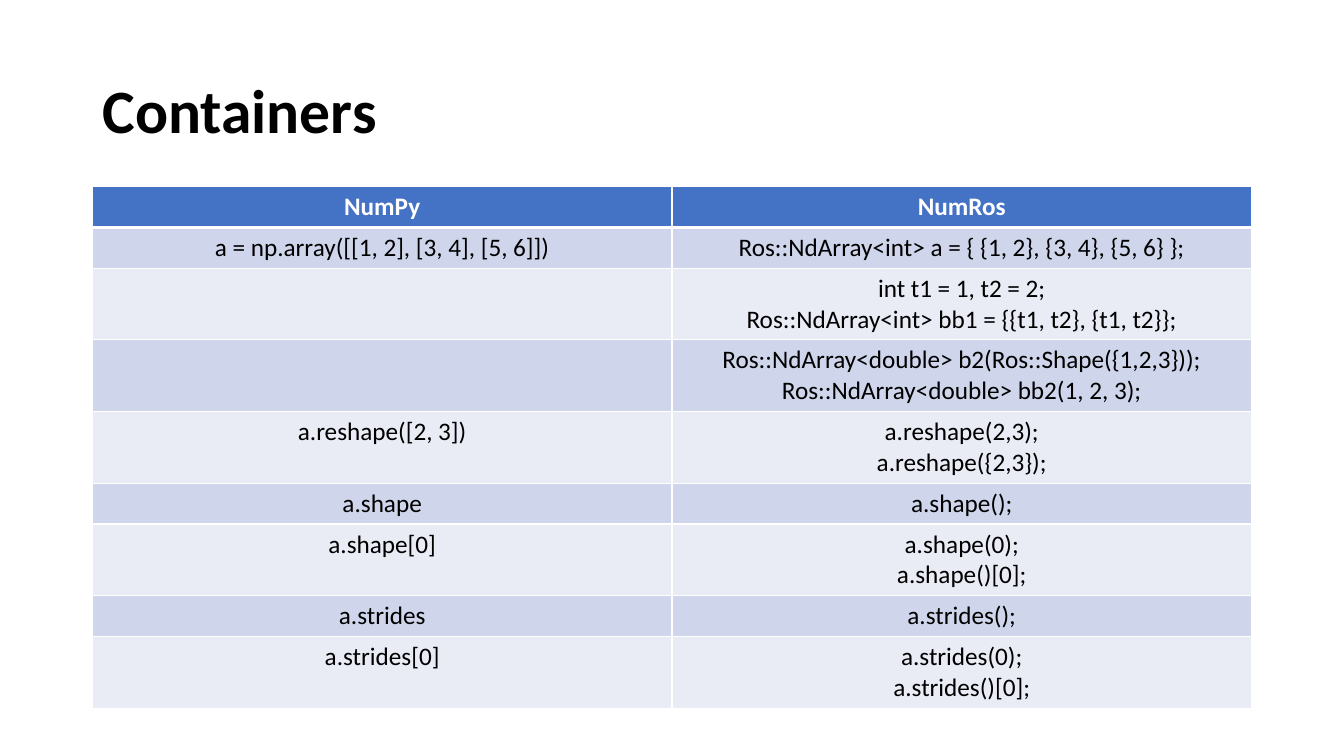
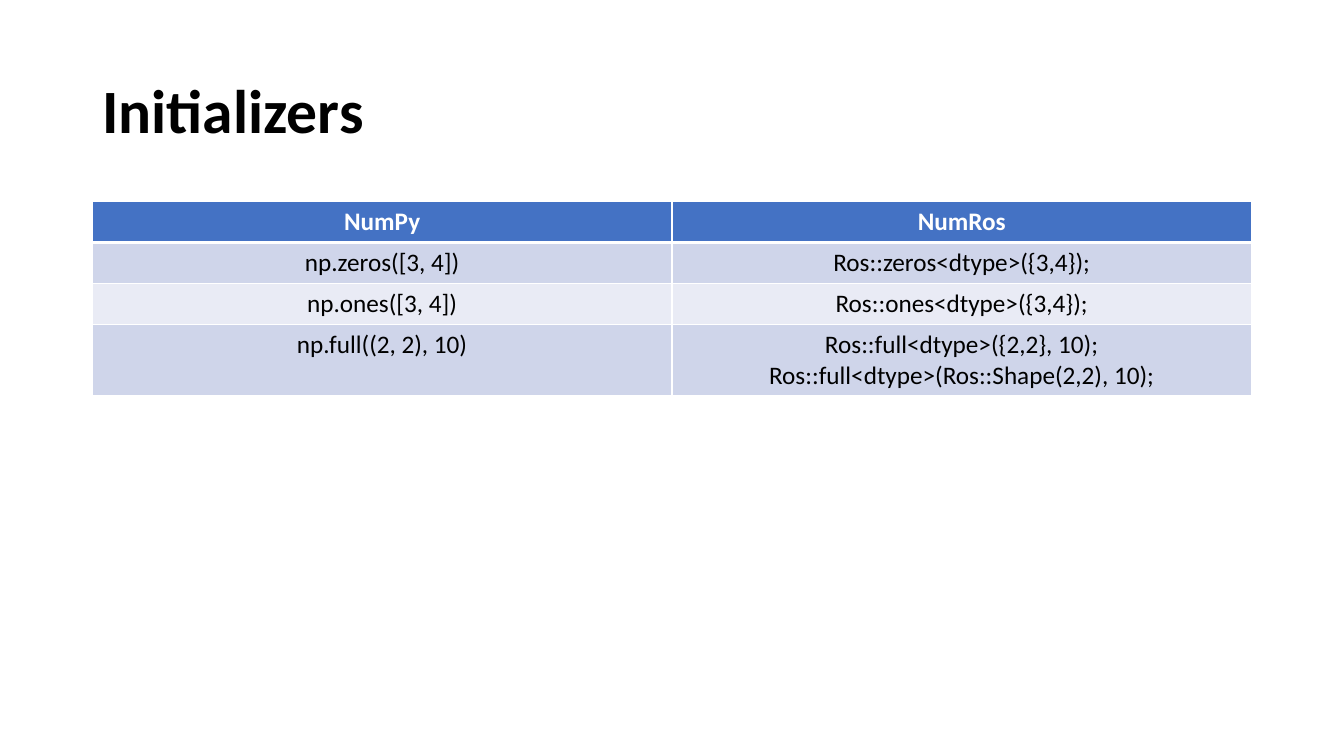
import pptx
import pptx.dml.color
import pptx.enum.text
import pptx.oxml
import pptx.oxml.ns
import pptx.util

FONT = "Calibri"
WHITE, BLACK, BLUE = "FFFFFF", "000000", "4472C4"
BANDS = ["CFD5EA", "E9EBF5"]
HEADER = ("NumPy", "NumRos")
CENTER = pptx.enum.text.PP_ALIGN.CENTER
LEFT = pptx.enum.text.PP_ALIGN.LEFT
MIDDLE = pptx.enum.text.MSO_ANCHOR.MIDDLE

deck = pptx.Presentation()
deck.slide_width = pptx.util.Inches(13.333)
deck.slide_height = pptx.util.Inches(7.5)
column = deck.slide_width / 160
row = deck.slide_height / 150
left, width = int(11 * column), int(138 * column)

pages = [
    ("Containers", 37, [
        ("a = np.array([[1, 2], [3, 4], [5, 6]])",
         "Ros::NdArray<int> a = { {1, 2}, {3, 4}, {5, 6} };"),
        ("", "int t1 = 1, t2 = 2;\nRos::NdArray<int> bb1 = {{t1, t2}, {t1, t2}};"),
        ("", "Ros::NdArray<double> b2(Ros::Shape({1,2,3}));\n"
             "Ros::NdArray<double> bb2(1, 2, 3);"),
        ("a.reshape([2, 3])", "a.reshape(2,3);\na.reshape({2,3});"),
        ("a.shape", "a.shape();"),
        ("a.shape[0]", "a.shape(0);\na.shape()[0];"),
        ("a.strides", "a.strides();"),
        ("a.strides[0]", "a.strides(0);\na.strides()[0];"),
    ]),
    ("Initializers", 40, [
        ("np.zeros([3, 4])", "Ros::zeros<dtype>({3,4});"),
        ("np.ones([3, 4])", "Ros::ones<dtype>({3,4});"),
        ("np.full((2, 2), 10)",
         "Ros::full<dtype>({2,2}, 10);\nRos::full<dtype>(Ros::Shape(2,2), 10);"),
    ]),
]


def color(value):
    return pptx.dml.color.RGBColor.from_string(value)


def write(frame, text, size, ink, bold, align):
    for index, line in enumerate(text.split("\n")):
        para = frame.add_paragraph() if index else frame.paragraphs[0]
        para.alignment = align
        span = para.add_run()
        span.text = line
        span.font.name = FONT
        span.font.size = pptx.util.Pt(size)
        span.font.bold = bold
        span.font.color.rgb = color(ink)


for heading, table_row, code_rows in pages:
    page = deck.slides.add_slide(deck.slide_layouts[5])
    title = page.shapes.title
    title.left, title.top = left, int(8 * row)
    title.width, title.height = width, int(29 * row)
    title.text_frame.vertical_anchor = MIDDLE
    write(title.text_frame, heading, 44, BLACK, True, LEFT)
    title.text_frame.paragraphs[0].line_spacing = 0.9

    records = [HEADER] + code_rows
    heights = [int((8 + 6 * max(text.count("\n") for text in record)) * row)
               for record in records]
    table = page.shapes.add_table(len(records), len(HEADER), left,
                                  int(table_row * row), width, sum(heights)).table
    for number, record in enumerate(records):
        table.rows[number].height = heights[number]
        is_header = number == 0
        thick_side = {0: "B", 1: "T"}.get(number)
        for position, text in enumerate(record):
            cell = table.cell(number, position)
            properties = cell._tc.get_or_add_tcPr()
            for side in "LRTB":
                points = 3 if side == thick_side else 1
                properties.append(pptx.oxml.parse_xml(
                    f'<a:ln{side} {pptx.oxml.ns.nsdecls("a")} w="{pptx.util.Pt(points)}">'
                    f'<a:solidFill><a:srgbClr val="{WHITE}"/></a:solidFill></a:ln{side}>'))
            cell.fill.solid()
            cell.fill.fore_color.rgb = color(BLUE if is_header else BANDS[(number - 1) % 2])
            if text:
                write(cell.text_frame, text, 18, WHITE if is_header else BLACK,
                      is_header, CENTER)

deck.save("out.pptx")
